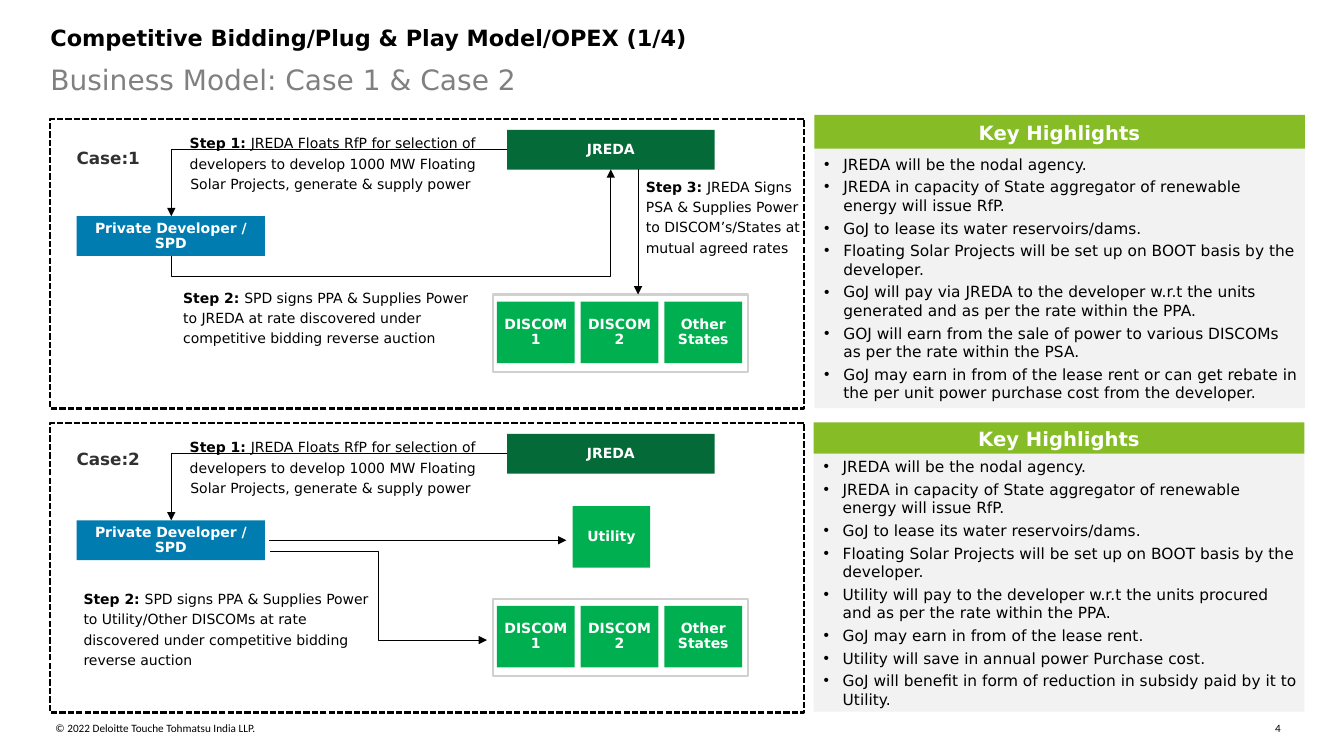
from lxml.etree import SubElement
from pptx import Presentation
from pptx.dml.color import RGBColor
from pptx.enum.dml import MSO_LINE
from pptx.enum.shapes import MSO_CONNECTOR, MSO_SHAPE
from pptx.enum.text import MSO_ANCHOR, PP_ALIGN
from pptx.oxml.ns import qn
from pptx.util import Pt

FONT = "DejaVu Sans"
CENTER = {"alignment": PP_ALIGN.CENTER}
NODE_PARA = {**CENTER, "line_spacing": 0.9}
BULLET_PARA = {"space_before": Pt(3)}
BULLET_INDENT = {"marL": Pt(13.7), "indent": -Pt(13.7)}
NODE_HEIGHT = 28.4
BUYER_SIZE = (55.5, 44)
BUYERS = ["DISCOM 1", "DISCOM 2", "Other States"]
STEP_1 = ("JREDA Floats RfP for selection of developers to develop 1000 MW "
          "Floating Solar Projects, generate & supply power ")
SHARED_POINTS = [
    "JREDA will be the nodal agency.",
    "JREDA in capacity of State aggregator of renewable energy will issue RfP.",
    "GoJ to lease its water reservoirs/dams.",
    "Floating Solar Projects will be set up on BOOT basis by the developer.",
]
CASE_1_POINTS = [
    "GoJ will pay via JREDA to the developer w.r.t the units generated and as per the rate within the PPA.",
    "GOJ will earn from the sale of power to various DISCOMs as per the rate within the PSA.",
    "GoJ may earn in from of the lease rent or can get rebate in the per unit power purchase cost "
    "from the developer.",
]
CASE_2_POINTS = [
    "Utility will pay to the developer w.r.t the units procured and as per the rate within the PPA.",
    "GoJ may earn in from of the lease rent.",
    "Utility will save in annual power Purchase cost.",
    "GoJ will benefit in form of reduction in subsidy paid by it to Utility.",
]


def color(code):
    return RGBColor.from_string(code)


def apply(target, values):
    for name, value in values.items():
        setattr(target, name, value)


def set_frame(shape, inset, anchor):
    sides = ("margin_left", "margin_top", "margin_right", "margin_bottom")
    apply(shape.text_frame, {"word_wrap": True, "vertical_anchor": anchor,
                             **dict(zip(sides, map(Pt, inset)))})


def add_span(para, words, size, code, bold=False, face=FONT):
    span = para.add_run()
    span.text = words
    apply(span.font, {"size": Pt(size), "bold": bold, "name": face})
    span.font.color.rgb = color(code)


def add_block(page, box, fill="FFFFFF", line=None, dash=None):
    block = page.shapes.add_shape(MSO_SHAPE.RECTANGLE, *map(Pt, box))
    block.shadow.inherit = False
    block.fill.solid()
    block.fill.fore_color.rgb = color(fill)
    if line:
        block.line.color.rgb = color(line)
        apply(block.line, {"width": Pt(1.5), "dash_style": dash})
    else:
        block.line.fill.background()
    return block


def add_label(page, box, words, size, code, bold=False, face=FONT, wrap=True):
    label = page.shapes.add_textbox(*map(Pt, box))
    set_frame(label, (0, 0, 0, 0), MSO_ANCHOR.TOP)
    label.text_frame.word_wrap = wrap
    add_span(label.text_frame.paragraphs[0], words, size, code, bold, face)


def add_node(page, box, words, fill):
    node = add_block(page, box, fill)
    set_frame(node, (4.3,) * 4, MSO_ANCHOR.MIDDLE)
    para = node.text_frame.paragraphs[0]
    apply(para, NODE_PARA)
    add_span(para, words, 10, "FFFFFF", True)


def add_step(page, box, number, words, alignment=PP_ALIGN.LEFT):
    step = page.shapes.add_textbox(*map(Pt, box))
    set_frame(step, (7.2, 3.6, 7.2, 3.6), MSO_ANCHOR.TOP)
    para = step.text_frame.paragraphs[0]
    apply(para, {"alignment": alignment, "line_spacing": 1.2})
    add_span(para, f"Step {number}: ", 10, "000000", True)
    add_span(para, words, 10, "000000")


def add_arrow(page, start, end, preset="line"):
    arrow = page.shapes.add_connector(MSO_CONNECTOR.STRAIGHT, *map(Pt, (*start, *end)))
    arrow.line.color.rgb = color("000000")
    arrow.line.width = Pt(0.75)
    properties = arrow._element.spPr
    properties.find(qn("a:prstGeom")).set("prst", preset)
    SubElement(properties.find(qn("a:ln")), qn("a:tailEnd"), type="triangle")
    SubElement(properties, qn("a:effectLst"))
    return arrow


def add_return_arrow(page, start, end, drop):
    """Arrow that runs down by drop, across, then up to a higher end."""
    rise, run = start[1] - end[1], end[0] - start[0]
    middle_x, middle_y = (start[0] + end[0]) / 2, (start[1] + end[1]) / 2
    arrow = add_arrow(page, (middle_x - rise / 2, middle_y - run / 2),
                      (middle_x + rise / 2, middle_y + run / 2), "bentConnector3")
    properties = arrow._element.spPr
    properties.find(qn("a:xfrm")).set("rot", str(270 * 60000))
    geometry = properties.find(qn("a:prstGeom"))
    guides = geometry.find(qn("a:avLst"))
    if guides is None:
        guides = SubElement(geometry, qn("a:avLst"))
    SubElement(guides, qn("a:gd"), name="adj1", fmla=f"val {round(-drop / rise * 100000)}")


def add_case_base(page, box, title, title_top):
    """Parts that both cases share."""
    left, top = box[:2]
    add_block(page, box, line="000000", dash=MSO_LINE.SQUARE_DOT)
    add_node(page, (left + 326.2, top + 7.8, 148.3, NODE_HEIGHT), "JREDA", "046A38")
    add_step(page, (left + 87.1, top + 5.4, 229, 49.7), 1, STEP_1, PP_ALIGN.CENTER)
    add_node(page, (left + 18.7, top + 69.5, 134.6, NODE_HEIGHT),
             "Private Developer / SPD", "007CB0")
    add_block(page, (left + 316, top + 125.4, 182.2, 55.4), line="D0D0CE")
    for index, buyer in enumerate(BUYERS):
        add_node(page, (left + 319 + 59.8 * index, top + 130.5, *BUYER_SIZE), buyer, "00B050")
    add_arrow(page, (left + 326.2, top + 22), (left + 86.4, top + 69.5), "bentConnector2")
    add_label(page, (left + 18.7, top + title_top, 57.6, 14.4), title, 12, "313131", True)


def add_case_1(page, box):
    left, top = box[:2]
    add_case_base(page, box, "Case:1", 20.8)
    add_step(page, (left + 87.8, top + 115.9, 227.5, 49.7), 2,
             "SPD signs PPA & Supplies Power to JREDA at rate discovered under "
             "competitive bidding reverse auction")
    add_return_arrow(page, (left + 86.4, top + 98), (left + 400.3, top + 36), 14.2)
    add_step(page, (left + 418.3, top + 36.7, 125.3, 78.5), 3,
             "JREDA Signs PSA & Supplies Power to DISCOM’s/States at mutual agreed rates")
    add_arrow(page, (left + 419.8, top + 36), (left + 419.8, top + 125.4))


def add_case_2(page, box):
    left, top = box[:2]
    add_case_base(page, box, "Case:2", 18.4)
    add_step(page, (left + 16.6, top + 113.8, 227.5, 64), 2,
             "SPD signs PPA & Supplies Power to Utility/Other DISCOMs at rate "
             "discovered under competitive bidding reverse auction")
    add_node(page, (left + 373, top + 59.3, *BUYER_SIZE), "Utility", "00B050")
    add_arrow(page, (left + 156.2, top + 83.7), (left + 368.6, top + 83.7))
    add_arrow(page, (left + 157, top + 91.5), (left + 311.8, top + 155), "bentConnector3")


def add_highlights(page, box, header_height, points):
    left, top, width, height = box
    body = add_block(page, (left, top + header_height, width, height - header_height), "F2F2F2")
    set_frame(body, (7.2, 7.2, 5, 7.2), MSO_ANCHOR.MIDDLE)
    frame = body.text_frame
    for index, point in enumerate(points):
        para = frame.add_paragraph() if index else frame.paragraphs[0]
        para.alignment = PP_ALIGN.LEFT
        properties = para._p.get_or_add_pPr()
        for name, length in BULLET_INDENT.items():
            properties.set(name, str(int(length)))
        SubElement(properties, qn("a:buFont"), typeface="Arial")
        SubElement(properties, qn("a:buChar"), char="•")
        if index:
            apply(para, BULLET_PARA)
        add_span(para, point, 11, "000000")
    header = add_block(page, (left, top, width, header_height), "86BC25")
    set_frame(header, (7.2,) * 4, MSO_ANCHOR.MIDDLE)
    para = header.text_frame.paragraphs[0]
    apply(para, {**CENTER, "line_spacing": 1.06})
    add_span(para, "Key Highlights", 14, "FFFFFF", True)


def add_heading(page, box):
    left, top, width, height = box
    add_label(page, (left, top, width, 27.4),
              "Competitive Bidding/Plug & Play Model/OPEX (1/4)", 16, "000000", True)
    add_label(page, (left, top + 27.4, width, height - 27.4),
              "Business Model: Case 1 & Case 2", 20, "808080")


def add_footer(page, box):
    left, top, width, height = box
    add_label(page, (left, top, 422, height), "© 2022 Deloitte Touche Tohmatsu India LLP.",
              8, "000000", face="Calibri")
    add_label(page, (left + width - 9.4, top, 9.4, height), "4", 8, "000000",
              face="Calibri", wrap=False)


def main():
    deck = Presentation()
    apply(deck, {"slide_width": Pt(960), "slide_height": Pt(540)})
    page = deck.slides.add_slide(deck.slide_layouts[6])
    add_heading(page, (36, 17.3, 882, 56.2))
    add_case_1(page, (36, 85, 538.6, 206.8))
    add_highlights(page, (581.6, 82.1, 350.4, 209.5), 24, SHARED_POINTS + CASE_1_POINTS)
    add_case_2(page, (36, 302.2, 538.6, 206.8))
    add_highlights(page, (581.2, 301.7, 350.6, 206.7), 22.3, SHARED_POINTS + CASE_2_POINTS)
    add_footer(page, (39.6, 515.5, 880.6, 9.4))
    deck.save("out.pptx")


if __name__ == "__main__":
    main()
